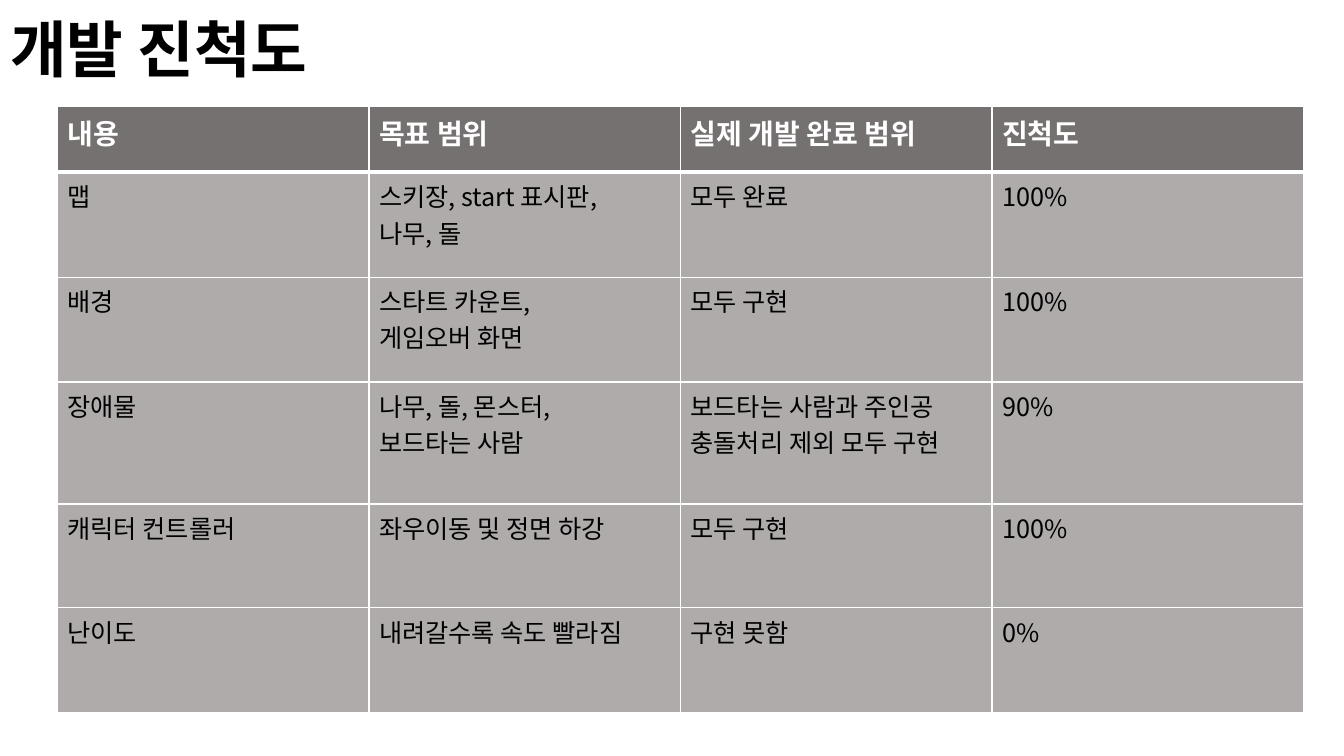
from copy import deepcopy
from dataclasses import dataclass

from lxml.etree import SubElement
from pptx import Presentation
from pptx.dml.color import RGBColor
from pptx.enum.text import MSO_ANCHOR, MSO_AUTO_SIZE, PP_ALIGN
from pptx.oxml.ns import qn
from pptx.util import Pt

EMU_PER_PX = 9144


def px(n):
    return n * EMU_PER_PX


@dataclass(frozen=True)
class Theme:
    font: str = "Noto Sans CJK KR"
    ink: str = "000000"
    paper: str = "FFFFFF"
    header_fill: str = "767171"
    body_fill: str = "AFABAB"
    title_size: int = 44
    header_size: int = 20
    body_size: int = 18
    thin: int = 1
    thick: int = 3


class Deck:
    def __init__(self, theme):
        self.theme = theme
        self.prs = Presentation()
        self.prs.slide_width = px(1333)
        self.prs.slide_height = px(750)
        self.s = self.prs.slides.add_slide(self.prs.slide_layouts[5])

    def run(self, p, text, size, color, bold=False):
        r = p.add_run()
        r.text = text
        f = r.font
        f.name, f.size, f.bold = self.theme.font, Pt(size), bold
        f.color.rgb = RGBColor.from_string(color)
        ea = SubElement(f._element, qn("a:ea"))
        ea.set("typeface", self.theme.font)
        return r

    def title(self, text, x, y, w, h):
        sp = self.s.shapes.title
        sp.left, sp.top, sp.width, sp.height = px(x), px(y), px(w), px(h)
        tf = sp.text_frame
        tf.word_wrap = True
        tf.auto_size = MSO_AUTO_SIZE.NONE
        tf.vertical_anchor = MSO_ANCHOR.MIDDLE
        p = tf.paragraphs[0]
        p.alignment = PP_ALIGN.LEFT
        p.line_spacing = 0.9
        r = self.run(p, text, self.theme.title_size, self.theme.ink, True)
        p.add_line_break()
        style = r.font._element
        p._p[-1].append(deepcopy(style))
        end = SubElement(p._p, qn("a:endParaRPr"), dict(style.attrib))
        end.extend(deepcopy(child) for child in style)

    def border(self, cell, side, width):
        tc_pr = cell._tc.get_or_add_tcPr()
        ln = SubElement(tc_pr, qn(f"a:ln{side}"), w=str(Pt(width)))
        fill = SubElement(ln, qn("a:solidFill"))
        SubElement(fill, qn("a:srgbClr"), val=self.theme.paper)

    def cell(self, cell, text, row):
        t = self.theme
        header = row == 0
        size = t.header_size if header else t.body_size
        color = t.paper if header else t.ink
        top = t.thick if row == 1 else t.thin
        bottom = t.thick if header else t.thin
        for side, width in zip("LRTB", (t.thin, t.thin, top, bottom)):
            self.border(cell, side, width)
        cell.fill.solid()
        cell.fill.fore_color.rgb = RGBColor.from_string(
            t.header_fill if header else t.body_fill)
        tf = cell.text_frame
        for i, line in enumerate(text.split("\n")):
            p = tf.add_paragraph() if i else tf.paragraphs[0]
            self.run(p, line, size, color, header)

    def table(self, rows, x, y, col_width, heights):
        n_cols = len(rows[0])
        frame = self.s.shapes.add_table(
            len(rows), n_cols, px(x), px(y),
            px(col_width * n_cols), px(sum(heights)))
        table = frame.table
        for column in table.columns:
            column.width = px(col_width)
        for i, (texts, height) in enumerate(zip(rows, heights)):
            table.rows[i].height = px(height)
            for j, text in enumerate(texts):
                self.cell(table.cell(i, j), text, i)


PROGRESS = [
    ("내용", "목표 범위", "실제 개발 완료 범위", "진척도"),
    ("맵", "스키장, start 표시판,\n나무, 돌", "모두 완료", "100%"),
    ("배경", "스타트 카운트,\n게임오버 화면", "모두 구현", "100%"),
    ("장애물", "나무, 돌, 몬스터,\n보드타는 사람",
     "보드타는 사람과 주인공 충돌처리 제외 모두 구현", "90%"),
    ("캐릭터 컨트롤러", "좌우이동 및 정면 하강", "모두 구현", "100%"),
    ("난이도", "내려갈수록 속도 빨라짐", "구현 못함", "0%"),
]


def main():
    deck = Deck(Theme())
    deck.title("개발 진척도", 0, 16, 1150, 145)
    deck.table(PROGRESS, 57, 106, 309, (65, 104, 104, 121, 103, 104))
    deck.prs.save("out.pptx")


if __name__ == "__main__":
    main()
